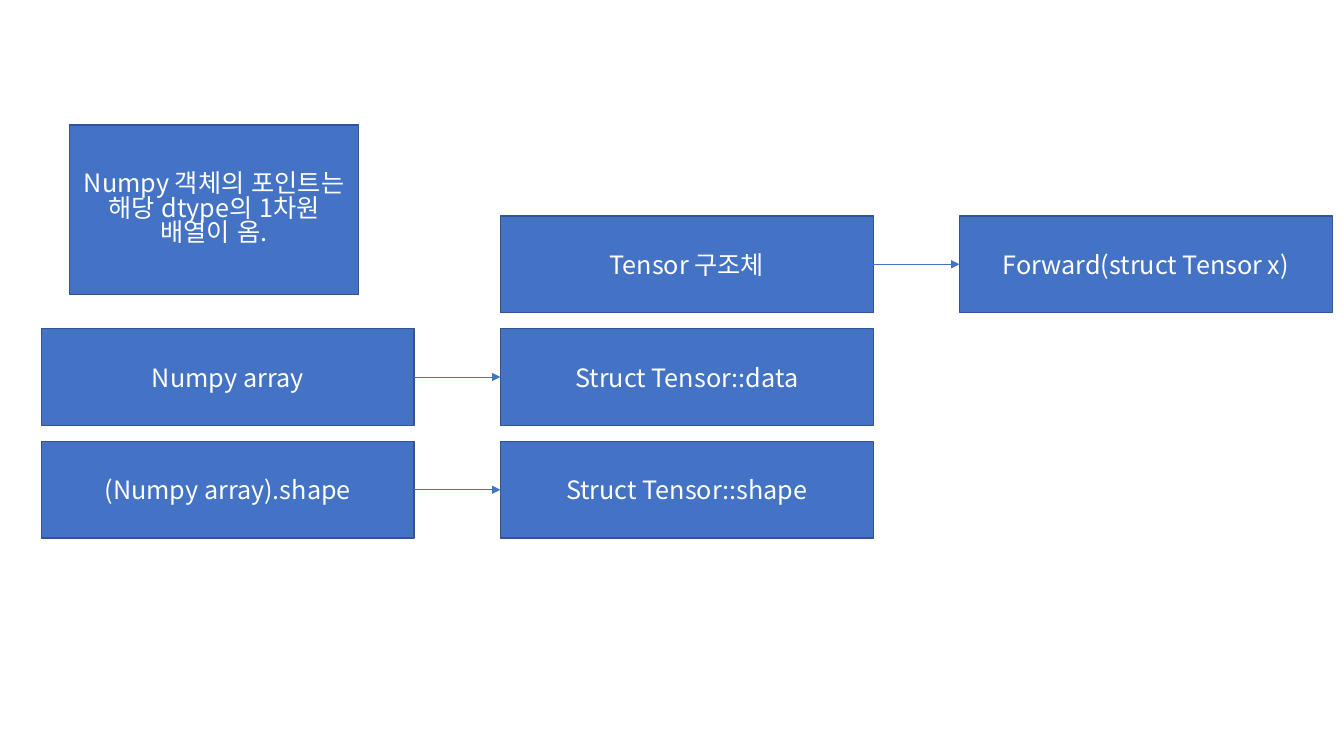
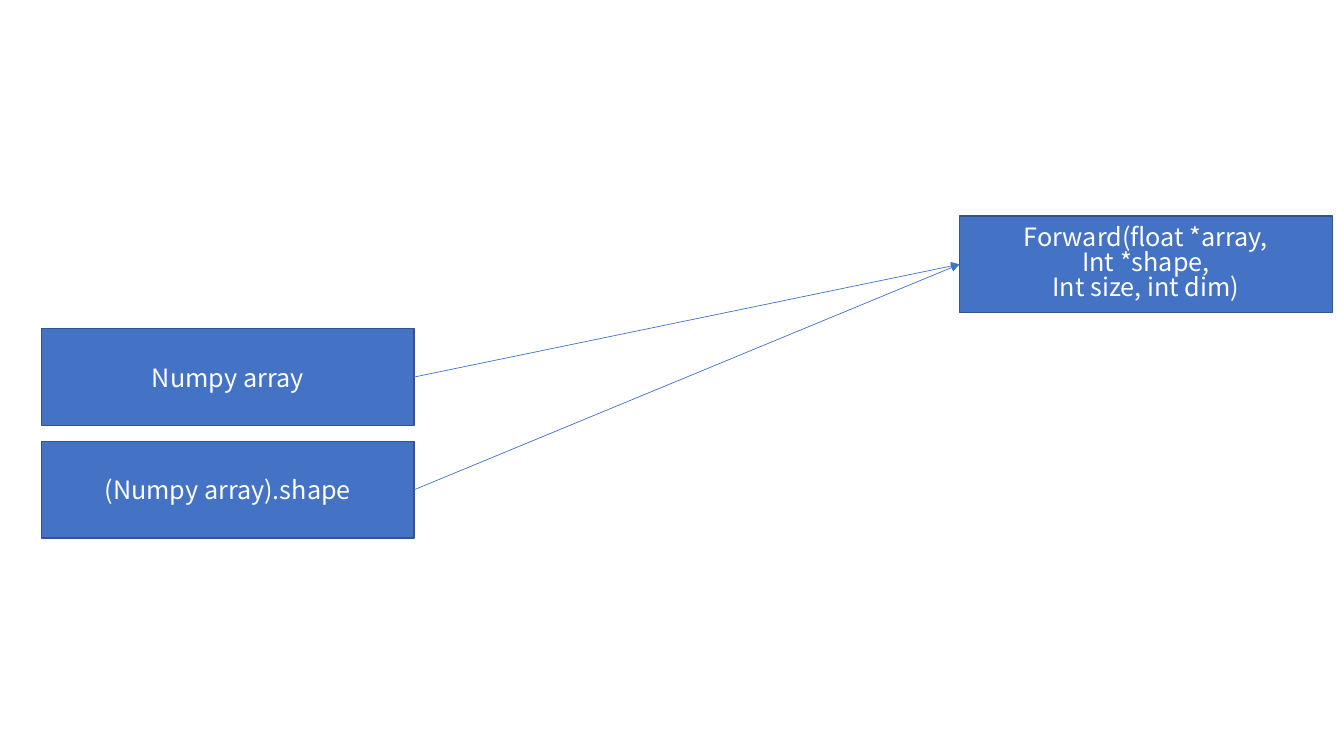
from lxml.etree import SubElement
from pptx import Presentation
from pptx.dml.color import RGBColor
from pptx.enum.lang import MSO_LANGUAGE_ID
from pptx.enum.shapes import MSO_CONNECTOR, MSO_SHAPE
from pptx.enum.text import MSO_ANCHOR, PP_ALIGN
from pptx.oxml.ns import qn
from pptx.util import Cm, Pt

COLORS = {"box": "4472C4", "outline": "325491", "text": "FFFFFF", "arrow": "4472C4"}
FONT = "Noto Sans CJK KR"

# Grid of boxes, in cm
LEFT, TOP = 1.04, 5.44
COL_STEP, ROW_STEP = 11.57, 2.84
BOX_W, BOX_H = 9.4, 2.44
SIDE_LEFT, SIDE_RIGHT = 1, 3


def rgb(name):
    return RGBColor.from_string(COLORS[name])


def write_text(tf, text, size=18, color="text", align=PP_ALIGN.CENTER, spacing=None):
    """Fill a text frame, one paragraph for each line of text."""
    tf.word_wrap = True
    tf.vertical_anchor = MSO_ANCHOR.MIDDLE
    for i, line in enumerate(text.split("\n")):
        p = tf.add_paragraph() if i else tf.paragraphs[0]
        p.alignment = align
        if spacing:
            p.line_spacing = spacing
        r = p.add_run()
        r.text = line
        r.font.name = FONT
        r.font.size = Pt(size)
        r.font.color.rgb = rgb(color)
        r.font.language_id = MSO_LANGUAGE_ID.KOREAN
        SubElement(r.font._element, qn("a:ea"), typeface=FONT)


class Deck:
    """Holds the presentation, its style and the current slide."""

    def __init__(self):
        self.prs = Presentation()
        self.prs.slide_width, self.prs.slide_height = Cm(33.87), Cm(19.05)
        self.s = None

    def new_slide(self):
        self.s = self.prs.slides.add_slide(self.prs.slide_layouts[6])

    def box(self, text, x, y, w=BOX_W, h=BOX_H, **fmt):
        sp = self.s.shapes.add_shape(MSO_SHAPE.RECTANGLE, Cm(x), Cm(y), Cm(w), Cm(h))
        sp.shadow.inherit = False
        sp.fill.solid()
        sp.fill.fore_color.rgb = rgb("box")
        sp.line.color.rgb = rgb("outline")
        sp.line.width = Pt(1)
        write_text(sp.text_frame, text, **fmt)
        return sp

    def grid_box(self, text, col, row, **fmt):
        return self.box(text, LEFT + col * COL_STEP, TOP + row * ROW_STEP, **fmt)

    def arrow(self, start, end):
        """Arrow from the right side of one box to the left side of another."""
        cxn = self.s.shapes.add_connector(MSO_CONNECTOR.STRAIGHT, 0, 0, 0, 0)
        cxn.begin_connect(start, SIDE_RIGHT)
        cxn.end_connect(end, SIDE_LEFT)
        cxn.line.color.rgb = rgb("arrow")
        cxn.line.width = Pt(0.5)
        SubElement(cxn.line._get_or_add_ln(), qn("a:tailEnd"), type="triangle")
        SubElement(cxn._element.spPr, qn("a:effectLst"))

    def numpy_boxes(self):
        """The two inputs that both slides start from."""
        return [self.grid_box(text, 0, row)
                for row, text in enumerate(("Numpy array", "(Numpy array).shape"), 1)]


def struct_slide(deck):
    deck.new_slide()
    array, shape = deck.numpy_boxes()
    tensor, data, dims = [
        deck.grid_box(text, 1, row)
        for row, text in enumerate(
            ("Tensor 구조체", "Struct Tensor::data", "Struct Tensor::shape"))
    ]
    forward = deck.grid_box("Forward(struct Tensor x)", 2, 0)
    for start, end in ((array, data), (shape, dims), (tensor, forward)):
        deck.arrow(start, end)
    # Note above the inputs
    deck.box("Numpy 객체의 포인트는 해당 dtype의 1차원 배열이 옴.",
             1.75, 3.15, 7.29, 4.27, spacing=0.82)


def pointer_slide(deck):
    deck.new_slide()
    forward = deck.grid_box("Forward(float *array,\nInt *shape,\nInt size, int dim)",
                            2, 0, spacing=0.82)
    for source in deck.numpy_boxes():
        deck.arrow(source, forward)


def main():
    deck = Deck()
    struct_slide(deck)
    pointer_slide(deck)
    deck.prs.save("out.pptx")


if __name__ == "__main__":
    main()
